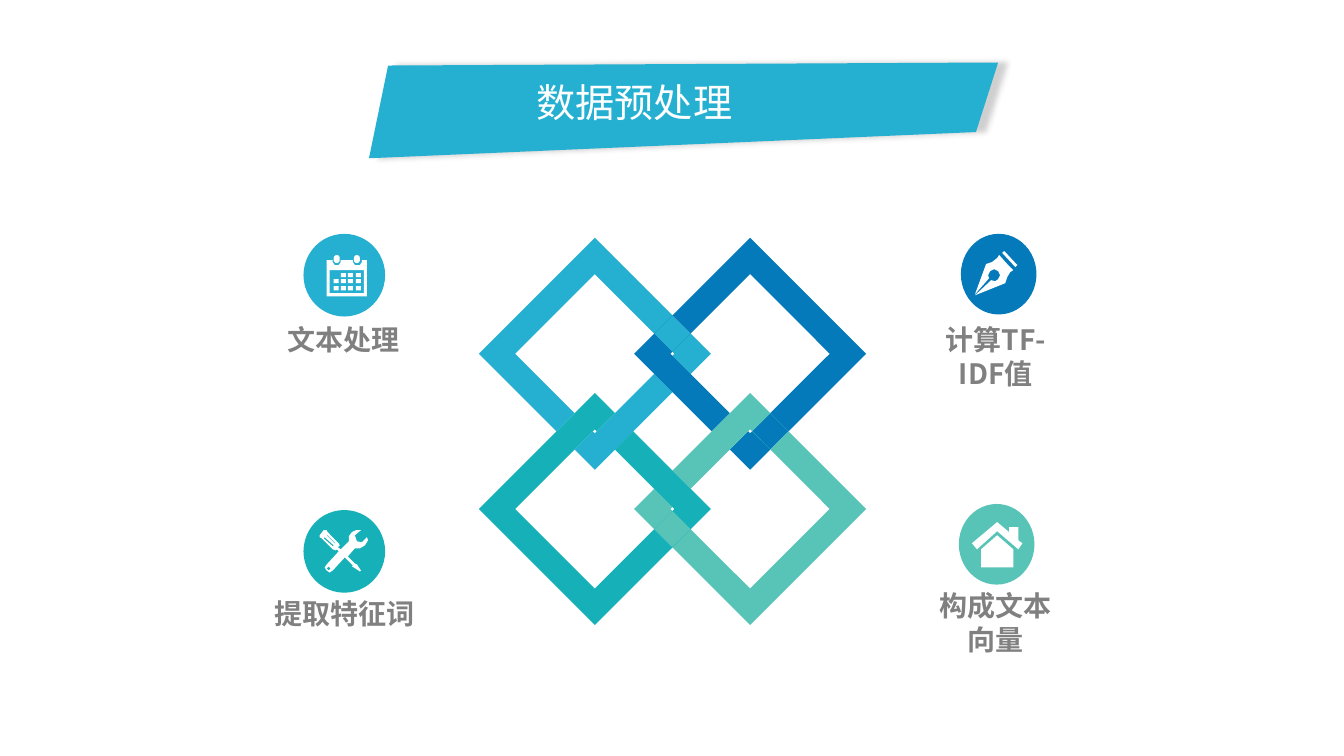
import pptx
import pptx.dml.color
import pptx.enum.shapes
import pptx.enum.text
import pptx.oxml
import pptx.oxml.ns
import pptx.util

PX = 9144  # one hundredth of an inch
FONT = "Noto Sans CJK SC"
SKY, BLUE, TEAL, MINT = "25B0D2", "047ABA", "15B0B8", "58C4B8"
WHITE, GREY = "FFFFFF", "808080"
SHAPES = pptx.enum.shapes.MSO_SHAPE
ALIGN = pptx.enum.text.PP_ALIGN

BANNER = [(385, 65), (366, 157), (968, 131), (990, 62)]
NIB = [(999, 262), (991, 253), (989, 256), (984, 260), (978, 262), (967, 292),
       (981, 276), (980, 273), (982, 269), (986, 267), (990, 269), (992, 273),
       (990, 277), (987, 279), (983, 278), (967, 293), (997, 281), (999, 275),
       (1002, 270), (1005, 268)]
NIB_COLLAR = [(996, 249), (1009, 263), (1007, 265), (994, 251)]
HOUSE_WALLS = [(973, 545), (973, 563), (1005, 563), (1005, 545), (989, 531)]
HOUSE_ROOF = [(1010, 536), (1010, 523), (1001, 523), (1001, 528), (989, 518),
              (964, 539), (969, 545), (989, 527), (1010, 545), (1014, 539)]
CALENDAR = [(364, 258), (359, 258), (359, 260), (357, 263), (352, 263), (350, 260),
            (350, 258), (338, 258), (338, 260), (336, 263), (332, 263), (330, 260),
            (330, 258), (324, 258), (324, 294), (364, 294)]
CALENDAR_WINDOW = [(361, 291), (327, 291), (327, 268), (361, 268)]
TOOLS = [(317, 531), (321, 526), (324, 526), (325, 528), (336, 539), (337, 541),
         (335, 543), (338, 545), (346, 537), (346, 532), (349, 528), (353, 526),
         (358, 526), (352, 531), (354, 537), (359, 538), (364, 533), (365, 536),
         (362, 541), (357, 544), (352, 544), (345, 552), (352, 559), (354, 560),
         (358, 566), (357, 567), (351, 563), (349, 562), (350, 561), (342, 553),
         (330, 566), (327, 568), (324, 566), (322, 563), (324, 560), (336, 547),
         (334, 545), (333, 546), (330, 545), (319, 534), (317, 533)]
DRIVER_GROOVES = [[(332, 539), (333, 539), (325, 531), (324, 531)],
                  [(330, 542), (331, 541), (322, 533), (321, 534)]]


def color(value):
    return pptx.dml.color.RGBColor.from_string(value)


def paint(shape, fill):
    shape.fill.solid()
    shape.fill.fore_color.rgb = color(fill)
    shape.line.fill.background()
    shape.shadow.inherit = False
    return shape


def preset(page, kind, left, top, width, height, fill):
    shape = page.shapes.add_shape(kind, left * PX, top * PX, width * PX, height * PX)
    return paint(shape, fill)


def outline(page, contours, fill):
    """Fill closed contours; one inside another cuts a hole."""
    builder = page.shapes.build_freeform(*contours[0][0], scale=PX)
    for index, points in enumerate(contours):
        if index:
            builder.move_to(*points[0])
        builder.add_line_segments(points[1:], close=True)
    return paint(builder.convert_to_shape(), fill)


def diamond(x, y, half):
    return [(x, y - half), (x + half, y), (x, y + half), (x - half, y)]


def style_text(box, text, size, shade, align, bold=False):
    box.text_frame.text = text
    box.text_frame.word_wrap = False
    para = box.text_frame.paragraphs[0]
    para.alignment = align
    span = para.runs[0]
    span.font.name = FONT
    span.font.size = pptx.util.Pt(size)
    span.font.bold = bold
    span.font.color.rgb = color(shade)
    east_asian = pptx.oxml.parse_xml(
        f'<a:ea {pptx.oxml.ns.nsdecls("a")} typeface="{FONT}"/>')
    span.font._element.find(pptx.oxml.ns.qn("a:latin")).addnext(east_asian)


def label(page, text, left, top, width):
    box = page.shapes.add_textbox(left * PX, top * PX, width * PX, 40 * PX)
    style_text(box, text, 20, GREY, ALIGN.CENTER, bold=True)


def banner_title(page, text):
    banner = outline(page, [BANNER], SKY)
    effects = banner.element.spPr.find(pptx.oxml.ns.qn("a:effectLst"))
    effects.append(pptx.oxml.parse_xml(
        f'<a:outerShdw {pptx.oxml.ns.nsdecls("a")} blurRad="50800" dist="76200" dir="0">'
        '<a:srgbClr val="000000"><a:alpha val="19000"/></a:srgbClr></a:outerShdw>'))
    title = page.shapes.title
    title.left, title.top, title.width, title.height = (
        value * PX for value in (522, 73, 217, 57))
    style_text(title, text, 28, WHITE, ALIGN.LEFT)
    frame = title.text_frame
    frame.margin_top = frame.margin_bottom = 0
    frame.vertical_anchor = pptx.enum.text.MSO_ANCHOR.MIDDLE
    banner.element.addnext(title.element)


def woven_diamonds(page):
    """Each ring is cut at the two crossings where it passes underneath."""
    for fill, side, level in ((SKY, 1, 1), (BLUE, -1, 1), (MINT, -1, -1), (TEAL, 1, -1)):
        x, y = 667 - 77 * side, 428 - 77 * level
        outline(page, [diamond(x, y, 115), diamond(x, y, 79),
                       diamond(x + 77 * side, y + 20 * side, 18),
                       diamond(x - 20 * level, y + 77 * level, 18)], fill)


def calendar_icon(page):
    outline(page, [CALENDAR, CALENDAR_WINDOW], WHITE)
    for left in (331, 351):
        ring = preset(page, SHAPES.ROUNDED_RECTANGLE, left, 253, 6, 8, WHITE)
        ring.adjustments[0] = 0.5
    for day in range(1, 12):
        row, column = divmod(day, 4)
        preset(page, SHAPES.RECTANGLE, 331 + column * 22 // 3,
               271 + row * 13 // 2, 5, 4, WHITE)


def main():
    deck = pptx.Presentation()
    deck.slide_width, deck.slide_height = 1333 * PX, 750 * PX
    page = deck.slides.add_slide(deck.slide_layouts[5])
    banner_title(page, "数据预处理")
    woven_diamonds(page)

    for left, top, width, height, fill in (
            (301, 232, 81, 82, SKY), (301, 506, 81, 82, TEAL),
            (953, 232, 75, 80, BLUE), (951, 500, 75, 80, MINT)):
        preset(page, SHAPES.FLOWCHART_CONNECTOR, left, top, width, height, fill)

    calendar_icon(page)
    outline(page, [TOOLS, diamond(326, 564, 2), *DRIVER_GROOVES], WHITE)
    for part in (NIB, NIB_COLLAR, HOUSE_WALLS, HOUSE_ROOF):
        outline(page, [part], WHITE)

    label(page, "文本处理", 255, 315, 171)
    label(page, "提取特征词", 256, 587, 171)
    label(page, "计算TF-IDF值", 909, 315, 157)
    label(page, "构成文本向量", 909, 579, 157)
    deck.save("out.pptx")


if __name__ == "__main__":
    main()
